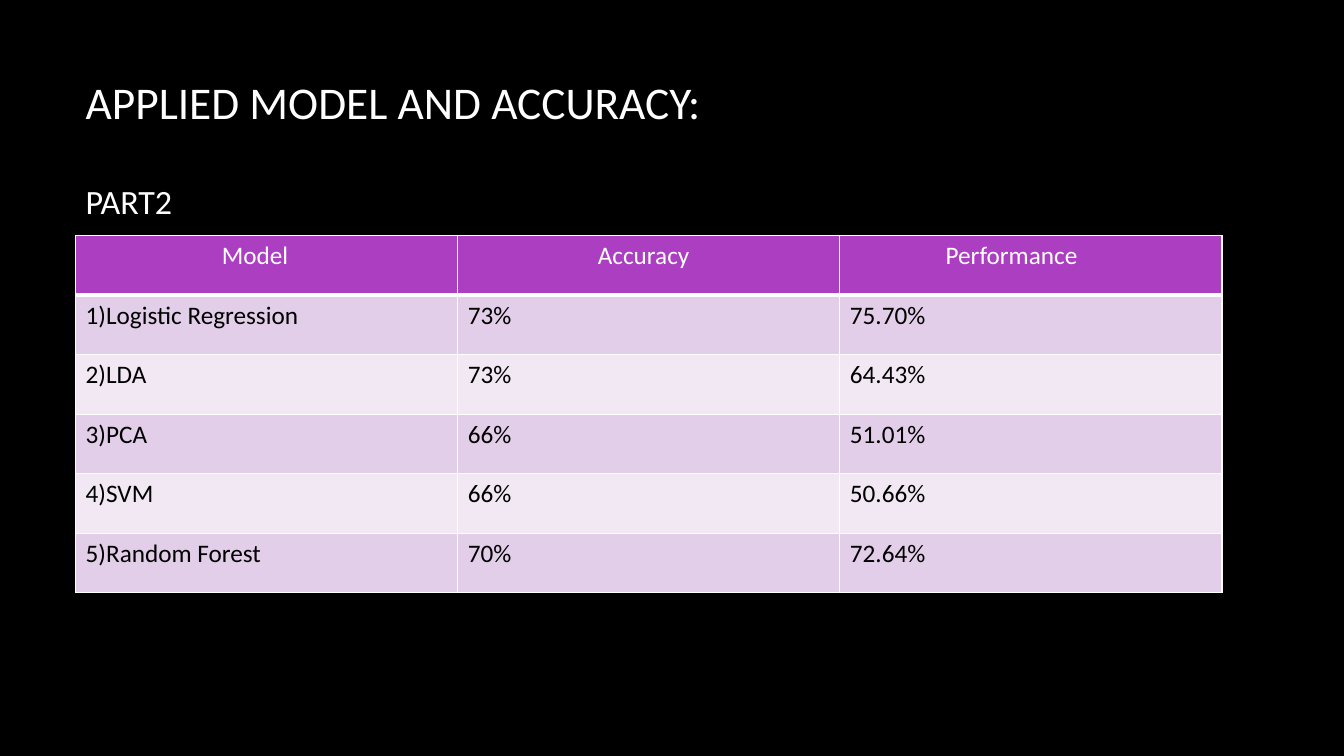
from lxml import etree
from pptx import Presentation
from pptx.dml.color import RGBColor
from pptx.enum import text
from pptx.oxml import ns
from pptx.util import Inches, Pt

BLACK = RGBColor(0x00, 0x00, 0x00)
WHITE = RGBColor(0xFF, 0xFF, 0xFF)
PURPLE = RGBColor(0xAC, 0x3E, 0xC1)
BANDS = (RGBColor(0xE3, 0xCE, 0xE9), RGBColor(0xF1, 0xE8, 0xF4))

HEADER = ("Model", "Accuracy", "Performance")
HEADER_INDENTS = (1.35, 1.29, 0.95)
RESULTS = (
    ("1)Logistic Regression", "73%", "75.70%"),
    ("2)LDA", "73%", "64.43%"),
    ("3)PCA", "66%", "51.01%"),
    ("4)SVM", "66%", "50.66%"),
    ("5)Random Forest", "70%", "72.64%"),
)


class SlideBuilder:
    font = "Calibri"

    def __init__(self, prs):
        self.s = prs.slides.add_slide(prs.slide_layouts[5])
        fill = self.s.background.fill
        fill.solid()
        fill.fore_color.rgb = BLACK

    def style(self, p, size, color):
        for r in p.runs:
            r.font.name = self.font
            r.font.size = Pt(size)
            r.font.color.rgb = color

    def title(self, lines, sizes, gap, left, top, width, height):
        sp = self.s.shapes.title
        sp.left, sp.top = Inches(left), Inches(top)
        sp.width, sp.height = Inches(width), Inches(height)
        tf = sp.text_frame
        tf.text = "\n".join(lines)
        tf.word_wrap = True
        tf.auto_size = text.MSO_AUTO_SIZE.NONE
        tf.vertical_anchor = text.MSO_ANCHOR.MIDDLE
        for i, (p, size) in enumerate(zip(tf.paragraphs, sizes)):
            p.alignment = text.PP_ALIGN.LEFT
            p.line_spacing = 1.0
            p.space_before = Pt(gap if i else 0)
            self.style(p, size, WHITE)

    def borders(self, cell, **widths):
        # Border lines come before the fill in the cell properties
        tc_pr = cell._tc.get_or_add_tcPr()
        for i, (side, width) in enumerate(widths.items()):
            ln = etree.Element(ns.qn(f"a:ln{side}"), w=str(Pt(width)))
            fill = etree.SubElement(ln, ns.qn("a:solidFill"))
            etree.SubElement(fill, ns.qn("a:srgbClr"), val=str(WHITE))
            tc_pr.insert(i, ln)

    def cell(self, cell, value, fill, color, indent=0):
        cell.text = value
        cell.margin_left = Inches(0.1 + indent)
        cell.fill.solid()
        cell.fill.fore_color.rgb = fill
        p = cell.text_frame.paragraphs[0]
        self.style(p, 18, color)
        for r in p.runs:
            r.font.bold = False

    def table(self, header, indents, rows, left, top, col_width, row_height):
        n_rows, n_cols = len(rows) + 1, len(header)
        table = self.s.shapes.add_table(
            n_rows, n_cols, Inches(left), Inches(top),
            Inches(col_width * n_cols), Inches(row_height * n_rows)).table
        for col in table.columns:
            col.width = Inches(col_width)
        for row in table.rows:
            row.height = Inches(row_height)
        for i, values in enumerate((header, *rows)):
            for j, value in enumerate(values):
                cell = table.cell(i, j)
                if i == 0:
                    self.cell(cell, value, PURPLE, WHITE, indents[j])
                else:
                    self.cell(cell, value, BANDS[(i - 1) % 2], BLACK)
                self.borders(cell, L=1, R=1, T=3 if i == 1 else 1,
                             B=3 if i == 0 else 1)


def main():
    prs = Presentation()
    prs.slide_width, prs.slide_height = Inches(13.33), Inches(7.5)
    slide = SlideBuilder(prs)

    # Heading with its part label
    slide.title(("APPLIED MODEL AND ACCURACY:", "PART2"), (32.4, 24.3), 37,
                0.75, 0.67, 11.08, 1.59)

    # Model results
    slide.table(HEADER, HEADER_INDENTS, RESULTS, 0.75, 2.34, 3.79, 0.59)

    prs.save("out.pptx")


if __name__ == "__main__":
    main()
